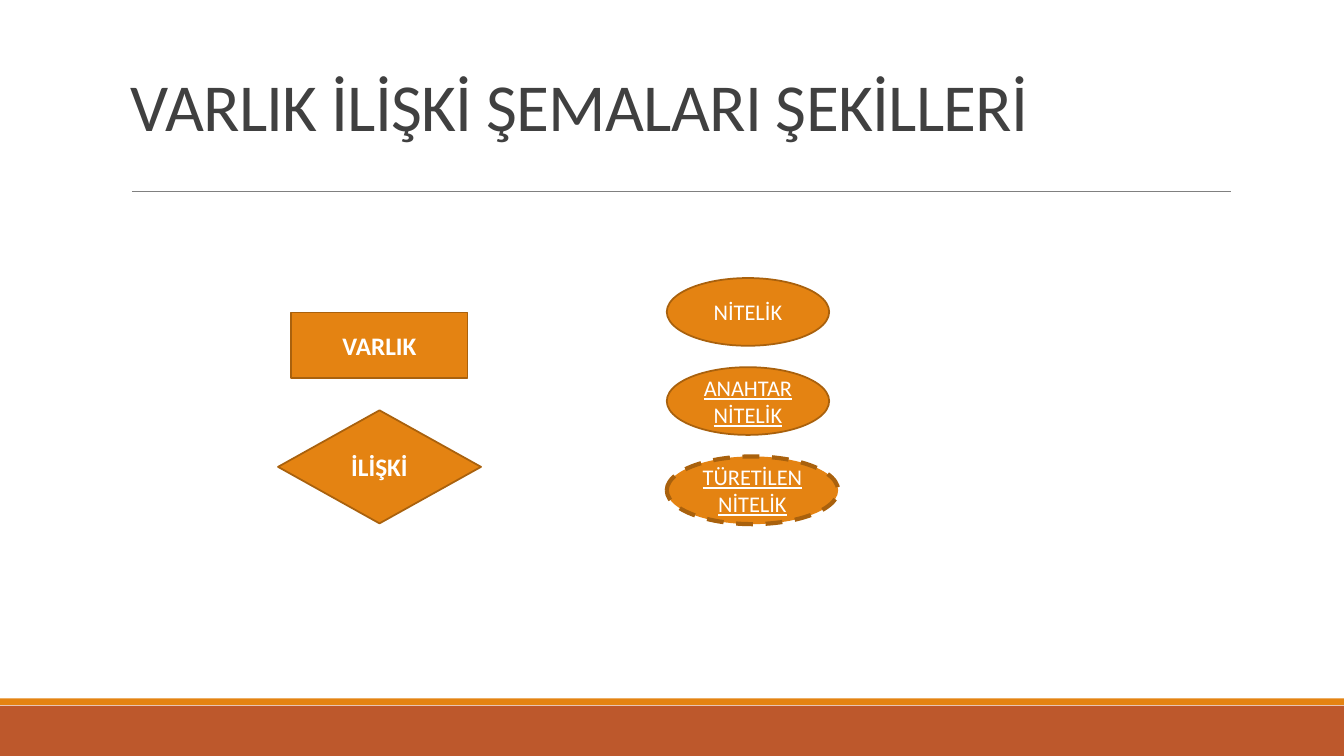
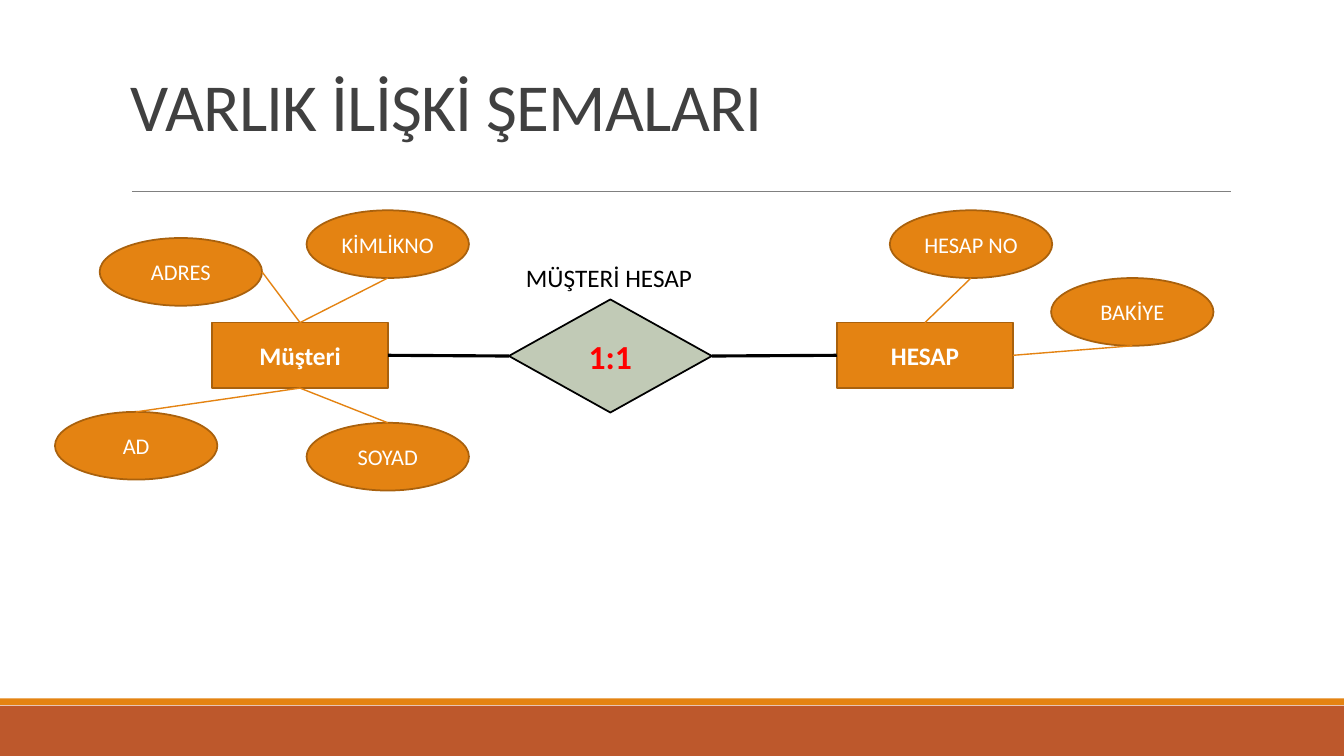
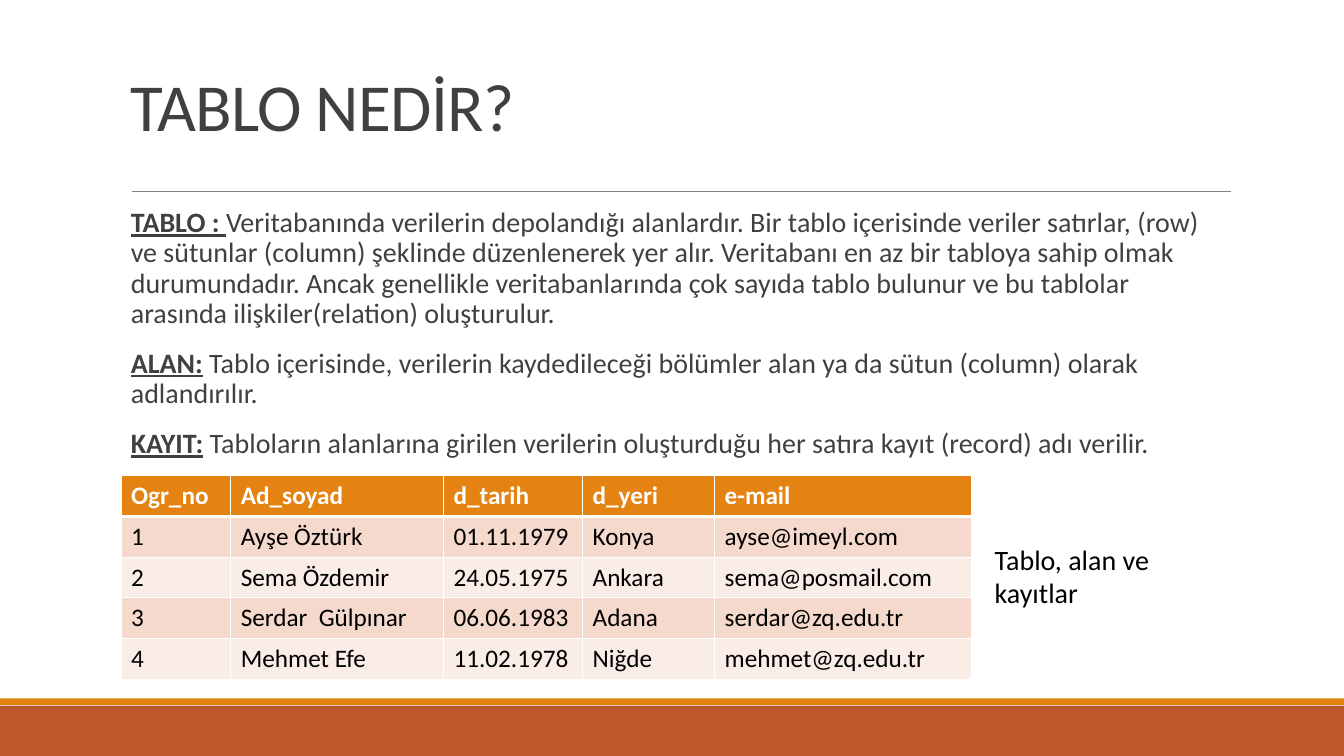
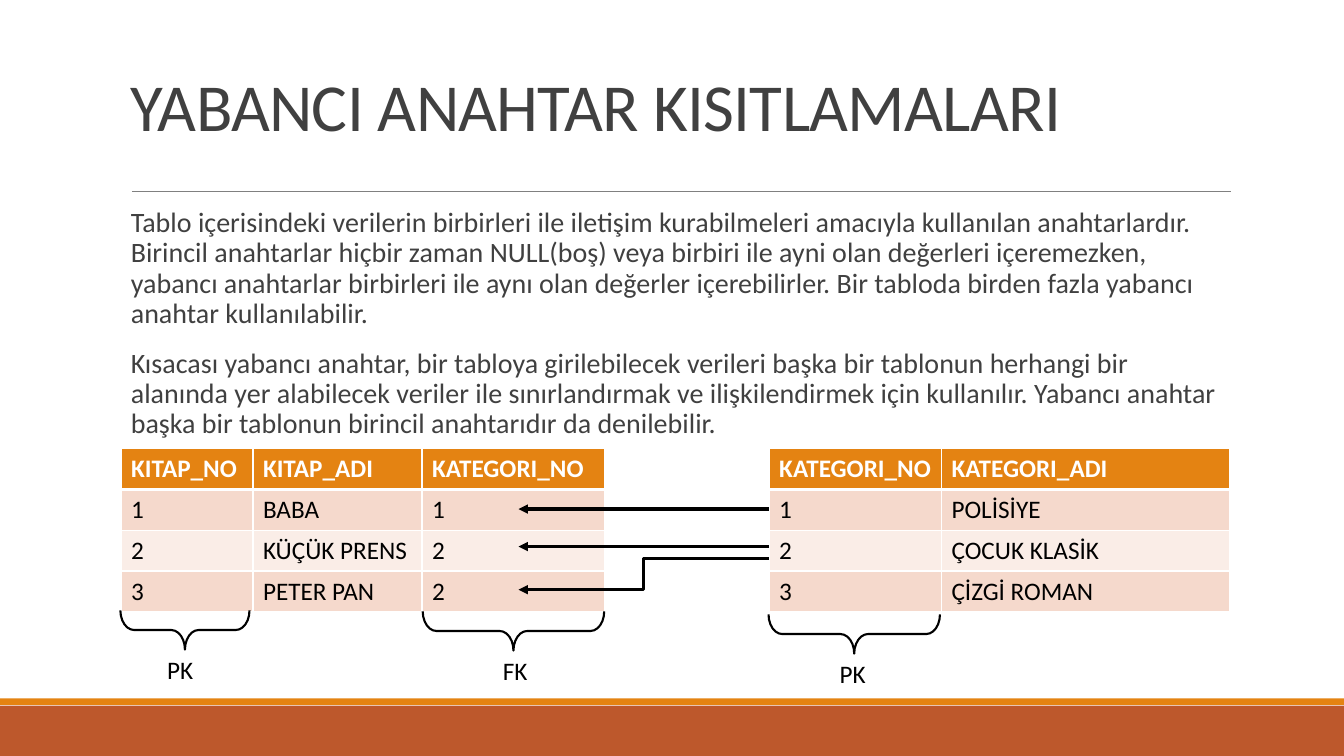
import lxml.etree
import pptx
import pptx.dml.color
import pptx.enum.dml
import pptx.enum.shapes
import pptx.enum.text
import pptx.oxml.ns
import pptx.util

Pt = pptx.util.Pt
qn = pptx.oxml.ns.qn
SHAPE = pptx.enum.shapes.MSO_SHAPE
LINE = pptx.enum.shapes.MSO_CONNECTOR
ANCHOR = pptx.enum.text.MSO_ANCHOR
ALIGN = pptx.enum.text.PP_ALIGN

ORANGE, RUST, BROWN, SAGE = "E48312", "BD582C", "A9610D", "C1CAB6"
WHITE, BLACK, RED, DARK, GREY = "FFFFFF", "000000", "FF0000", "404040", "808080"
ROW_FILLS = ["FAEDE7", "F5D9CC"]
ROW_H = 29.1


def rgb(colour):
    return pptx.dml.color.RGBColor.from_string(colour)


def style(r, size, colour, bold=False, underline=False):
    r.font.name = "Calibri"
    r.font.size = Pt(size)
    r.font.color.rgb = rgb(colour)
    r.font.bold = bold
    r.font.underline = underline


prs = pptx.Presentation()
prs.slide_width, prs.slide_height = Pt(960), Pt(540)

# Shared frame: bands, title and the rule under it
titles = [
    "VARLIK İLİŞKİ ŞEMALARI ŞEKİLLERİ",
    "VARLIK İLİŞKİ ŞEMALARI",
    "TABLO NEDİR?",
    "YABANCI ANAHTAR KISITLAMALARI",
]
lines = []  # slide, kind, x1, y1, x2, y2, colour, width, arrow
for title in titles:
    s = prs.slides.add_slide(prs.slide_layouts[6])
    for top, height, colour in [(504, 36, RUST), (498.9, 4.6, ORANGE)]:
        sp = s.shapes.add_shape(SHAPE.RECTANGLE, 0, Pt(top), Pt(960), Pt(height))
        sp.shadow.inherit = False
        sp.fill.solid()
        sp.fill.fore_color.rgb = rgb(colour)
        sp.line.fill.background()
    tf = s.shapes.add_textbox(Pt(86.4), Pt(22.4), Pt(792), Pt(114.2)).text_frame
    tf.word_wrap = True
    tf.vertical_anchor = ANCHOR.MIDDLE
    tf.text = title
    tf.paragraphs[0].line_spacing = 0.85
    r = tf.paragraphs[0].runs[0]
    style(r, 48, DARK)
    r.font._element.set("spc", "-50")
    lines.append((s, LINE.STRAIGHT, Pt(94.3), Pt(136.6), Pt(879), Pt(136.6), GREY, 0.5, False))

symbols, diagram, table_intro, foreign_key = prs.slides

# Entities, relationships and attributes
sizes = {
    SHAPE.RECTANGLE: (126, 46.8, 18, True),
    SHAPE.DIAMOND: (145, 80.8, 18, True),
    SHAPE.OVAL: (116, 48.4, 16, False),
}
nodes = [
    (symbols, SHAPE.RECTANGLE, 208, 223.2, "VARLIK"),
    (symbols, SHAPE.DIAMOND, 198.6, 293.1, "İLİŞKİ"),
    (symbols, SHAPE.OVAL, 476.3, 198.6, "NİTELİK"),
    (symbols, SHAPE.OVAL, 476.3, 262.3, "ANAHTAR NİTELİK"),
    (symbols, SHAPE.OVAL, 476.3, 326, "TÜRETİLEN NİTELİK"),
    (diagram, SHAPE.RECTANGLE, 151.3, 230.4, "Müşteri"),
    (diagram, SHAPE.RECTANGLE, 597.7, 230.4, "HESAP"),
    (diagram, SHAPE.DIAMOND, 363.5, 213.9, "1:1"),
    (diagram, SHAPE.OVAL, 219, 150.2, "KİMLİKNO"),
    (diagram, SHAPE.OVAL, 71.2, 170, "ADRES"),
    (diagram, SHAPE.OVAL, 39.3, 294.2, "AD"),
    (diagram, SHAPE.OVAL, 219, 302, "SOYAD"),
    (diagram, SHAPE.OVAL, 635.6, 150.2, "HESAP NO"),
    (diagram, SHAPE.OVAL, 750.8, 198.6, "BAKİYE"),
]
drawn = {}
for s, preset, left, top, text in nodes:
    width, height, size, bold = sizes[preset]
    sp = s.shapes.add_shape(preset, Pt(left), Pt(top), Pt(width), Pt(height))
    sp.shadow.inherit = False
    sp.fill.solid()
    sp.fill.fore_color.rgb = rgb(ORANGE)
    sp.line.color.rgb = rgb(BROWN)
    sp.line.width = Pt(1.25)
    tf = sp.text_frame
    tf.word_wrap = True
    tf.vertical_anchor = ANCHOR.MIDDLE
    tf.text = text
    tf.paragraphs[0].alignment = ALIGN.CENTER
    underline = text in ("ANAHTAR NİTELİK", "TÜRETİLEN NİTELİK")
    style(tf.paragraphs[0].runs[0], size, WHITE, bold, underline)
    drawn[text] = sp

derived = drawn["TÜRETİLEN NİTELİK"]
derived.width = Pt(122.4)
derived.line.width = Pt(3)
derived.line.dash_style = pptx.enum.dml.MSO_LINE.DASH

ratio = drawn["1:1"]
ratio.fill.fore_color.rgb = rgb(SAGE)
ratio.line.color.rgb = rgb(BLACK)
style(ratio.text_frame.paragraphs[0].runs[0], 24, RED, True)

# Links run between the middles of the sides of two nodes
sides = {"top": (0.5, 0), "bottom": (0.5, 1), "left": (0, 0.5), "right": (1, 0.5)}
links = [
    ("Müşteri", "right", "1:1", "left", BLACK, 2.25),
    ("1:1", "right", "HESAP", "left", BLACK, 2.25),
    ("KİMLİKNO", "bottom", "Müşteri", "top", ORANGE, 1),
    ("ADRES", "right", "Müşteri", "top", ORANGE, 1),
    ("AD", "top", "Müşteri", "bottom", ORANGE, 1),
    ("SOYAD", "top", "Müşteri", "bottom", ORANGE, 1),
    ("HESAP NO", "bottom", "HESAP", "top", ORANGE, 1),
    ("BAKİYE", "bottom", "HESAP", "right", ORANGE, 1),
]
for start, start_side, end, end_side, colour, width in links:
    ends = []
    for name, side in [(start, start_side), (end, end_side)]:
        sp = drawn[name]
        fx, fy = sides[side]
        ends += [int(sp.left + sp.width * fx), int(sp.top + sp.height * fy)]
    lines.append((diagram, LINE.STRAIGHT, *ends, colour, width, False))

# Body text: each paragraph is an underlined lead and the rest
bodies = [
    (table_intro, 203, [
        ("TABLO : ", "Veritabanında verilerin depolandığı alanlardır. Bir tablo içerisinde veriler "
         "satırlar, (row) ve sütunlar (column) şeklinde düzenlenerek yer alır. Veritabanı en az bir "
         "tabloya sahip olmak durumundadır. Ancak genellikle veritabanlarında çok sayıda tablo "
         "bulunur ve bu tablolar arasında ilişkiler(relation) oluşturulur."),
        ("ALAN:", " Tablo içerisinde, verilerin kaydedileceği bölümler alan ya da sütun (column) "
         "olarak adlandırılır."),
        ("KAYIT:", " Tabloların alanlarına girilen verilerin oluşturduğu her satıra kayıt (record) "
         "adı verilir."),
    ]),
    (foreign_key, 175.7, [
        ("", "Tablo içerisindeki verilerin birbirleri ile iletişim kurabilmeleri amacıyla kullanılan "
         "anahtarlardır. Birincil anahtarlar hiçbir zaman NULL(boş) veya birbiri ile ayni olan "
         "değerleri içeremezken, yabancı anahtarlar birbirleri ile aynı olan değerler içerebilirler. "
         "Bir tabloda birden fazla yabancı anahtar kullanılabilir."),
        ("", "Kısacası yabancı anahtar, bir tabloya girilebilecek verileri başka bir tablonun "
         "herhangi bir alanında yer alabilecek veriler ile sınırlandırmak ve ilişkilendirmek için "
         "kullanılır. Yabancı anahtar başka bir tablonun birincil anahtarıdır da denilebilir."),
    ]),
]
for s, height, paragraphs in bodies:
    tf = s.shapes.add_textbox(Pt(86.4), Pt(145.4), Pt(792), Pt(height)).text_frame
    tf.word_wrap = True
    tf.margin_right = 0
    for i, (lead, rest) in enumerate(paragraphs):
        p = tf.add_paragraph() if i else tf.paragraphs[0]
        p.line_spacing = 0.9
        p.space_before, p.space_after = Pt(12), Pt(2)
        for part, strong in [(lead, True), (rest, False)]:
            if part:
                r = p.add_run()
                r.text = part
                style(r, 20, DARK, strong, strong)

# Tables
tables = [
    (table_intro, 86.4, 339.8, [78.5, 151.9, 99.4, 94.3, 183.6], [
        ["Ogr_no", "Ad_soyad", "d_tarih", "d_yeri", "e-mail"],
        ["1", "Ayşe Öztürk", "01.11.1979", "Konya", "ayse@imeyl.com"],
        ["2", "Sema Özdemir", "24.05.1975", "Ankara", "sema@posmail.com"],
        ["3", "Serdar  Gülpınar", "06.06.1983", "Adana", "serdar@zq.edu.tr"],
        ["4", "Mehmet Efe", "11.02.1978", "Niğde", "mehmet@zq.edu.tr"],
    ]),
    (foreign_key, 86.4, 320.6, [94.3, 120.7, 130.3], [
        ["KITAP_NO", "KITAP_ADI", "KATEGORI_NO"],
        ["1", "BABA", "1"],
        ["2", "KÜÇÜK PRENS", "2"],
        ["3", "PETER PAN", "2"],
    ]),
    (foreign_key, 549.4, 320.6, [123.1, 205.9], [
        ["KATEGORI_NO", "KATEGORI_ADI"],
        ["1", "POLİSİYE"],
        ["2", "ÇOCUK KLASİK"],
        ["3", "ÇİZGİ ROMAN"],
    ]),
]
for s, left, top, widths, rows in tables:
    table = s.shapes.add_table(len(rows), len(widths), Pt(left), Pt(top),
                               Pt(sum(widths)), Pt(ROW_H * len(rows))).table
    for column, width in zip(table.columns, widths):
        column.width = Pt(width)
    for i, row in enumerate(rows):
        table.rows[i].height = Pt(ROW_H)
        for j, text in enumerate(row):
            cell = table.cell(i, j)
            tcPr = cell._tc.get_or_add_tcPr()
            for edge in ("lnL", "lnR", "lnT", "lnB"):
                heavy = (i, edge) in [(0, "lnB"), (1, "lnT")]
                ln = lxml.etree.SubElement(tcPr, qn("a:" + edge), w=str(Pt(3 if heavy else 1)))
                fill = lxml.etree.SubElement(ln, qn("a:solidFill"))
                lxml.etree.SubElement(fill, qn("a:srgbClr"), val=WHITE)
            cell.fill.solid()
            cell.fill.fore_color.rgb = rgb(ROW_FILLS[i % 2] if i else ORANGE)
            cell.text = text
            style(cell.text_frame.paragraphs[0].runs[0], 18, BLACK if i else WHITE, i == 0)

# Key braces under the columns, with their captions
captions = [
    (diagram, 368.6, 183.6, 140, 29, "MÜŞTERİ HESAP", 18),
    (table_intro, 703.4, 383.8, 125.3, 55.4, "Tablo, alan ve kayıtlar", 20),
]
BRACE_H = 28
for left, top, span, text, text_left in [
    (86, 436, 92.2, "PK", 112.3),
    (302, 436.7, 129.6, "FK", 352.1),
    (549, 438.9, 122.4, "PK", 592.6),
]:
    sp = foreign_key.shapes.add_shape(
        SHAPE.LEFT_BRACE, Pt(left + (span - BRACE_H) / 2), Pt(top - (span - BRACE_H) / 2),
        Pt(BRACE_H), Pt(span))
    sp.rotation = 270
    sp.adjustments[0] = 0.35
    sp.shadow.inherit = False
    sp.fill.background()
    sp.line.color.rgb = rgb(BLACK)
    sp.line.width = Pt(1.5)
    captions.append((foreign_key, text_left, top + BRACE_H, 40, 29, text, 18))

for s, left, top, width, height, text, size in captions:
    tf = s.shapes.add_textbox(Pt(left), Pt(top), Pt(width), Pt(height)).text_frame
    tf.word_wrap = True
    tf.text = text
    style(tf.paragraphs[0].runs[0], size, BLACK)

# Arrows from the category keys to the rows that use them
for kind, start_y, end_y in [
    (LINE.STRAIGHT, 363.6, 363.6),
    (LINE.STRAIGHT, 390.4, 390.4),
    (LINE.ELBOW, 398.9, 421.2),
]:
    lines.append((foreign_key, kind, Pt(549.4), Pt(start_y), Pt(370.4), Pt(end_y), BLACK, 2.25, True))

for s, kind, x1, y1, x2, y2, colour, width, arrow in lines:
    cn = s.shapes.add_connector(kind, x1, y1, x2, y2)
    cn.line.color.rgb = rgb(colour)
    cn.line.width = Pt(width)
    spPr = cn._element.spPr
    if arrow:
        lxml.etree.SubElement(spPr.find(qn("a:ln")), qn("a:tailEnd"), type="triangle")
    lxml.etree.SubElement(spPr, qn("a:effectLst"))

prs.save("out.pptx")
